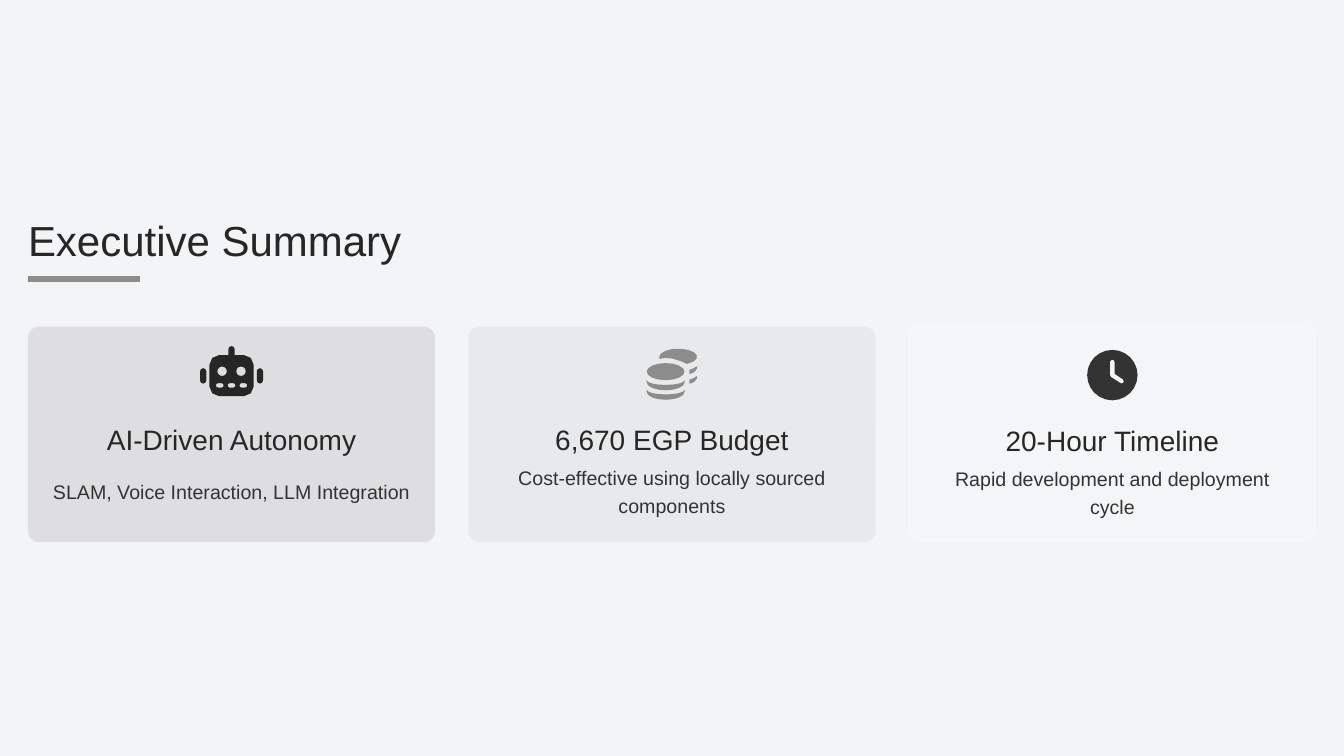
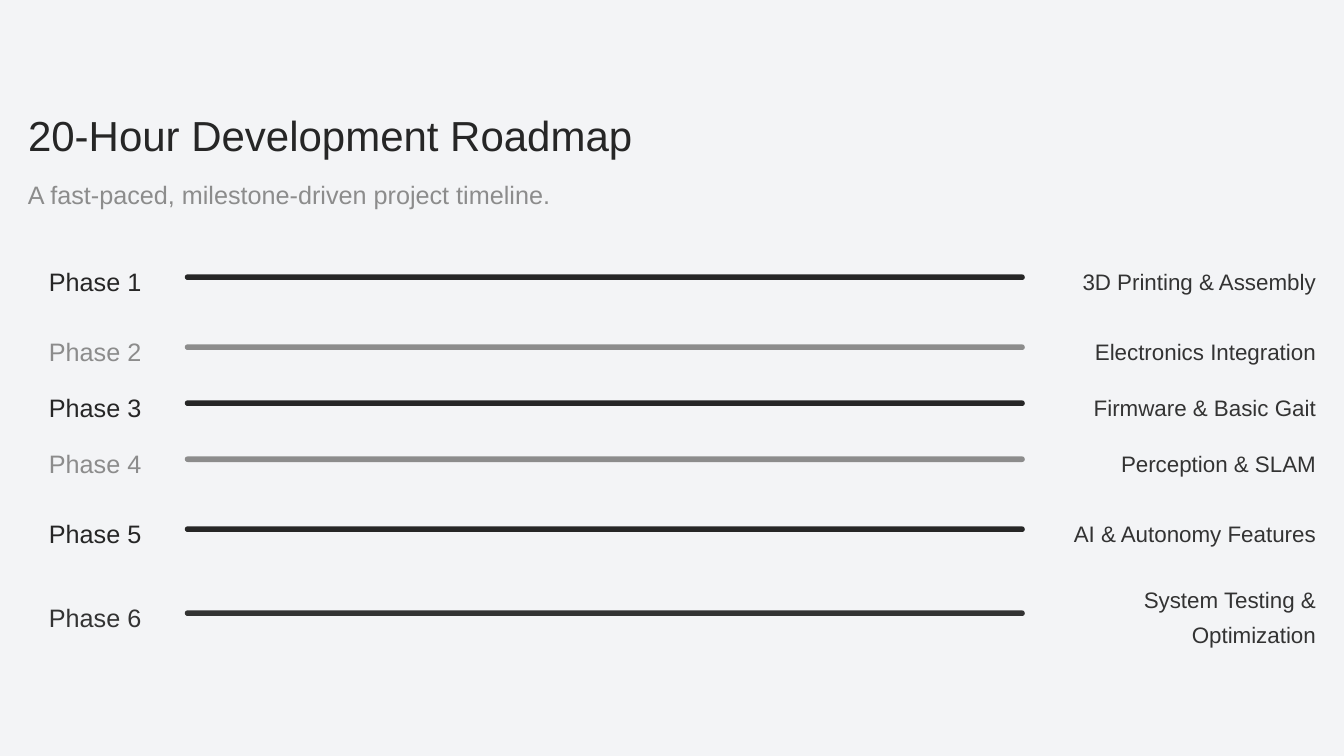
import math

from lxml import etree
from pptx import Presentation
from pptx.dml.color import RGBColor
from pptx.enum import shapes, text
from pptx.oxml.ns import qn
from pptx.util import Pt

FONT = "Arial"
PAPER, INK, BODY, GREY, WHITE = "F3F4F6", "262626", "333333", "8C8C8C", "FFFFFF"
PAGE_WIDTH, PAGE_HEIGHT, MARGIN = 960, 540, 20
CONTENT_WIDTH = PAGE_WIDTH - 2 * MARGIN
LEFT, CENTER, RIGHT = text.PP_ALIGN.LEFT, text.PP_ALIGN.CENTER, text.PP_ALIGN.RIGHT

# Content: heading, body, card colour, border width, icon name, icon colour
CARDS = [
    ("AI-Driven Autonomy", "SLAM, Voice Interaction, LLM Integration", INK, 0, "robot", INK),
    ("6,670 EGP Budget", "Cost-effective using locally sourced components", GREY, 0, "coins", GREY),
    ("20-Hour Timeline", "Rapid development and deployment cycle", WHITE, 0.75, "clock", BODY),
]
# Content: phase, task, colour, row height
PHASES = [
    ("Phase 1", "3D Printing & Assembly", INK, 60),
    ("Phase 2", "Electronics Integration", GREY, 40),
    ("Phase 3", "Firmware & Basic Gait", INK, 40),
    ("Phase 4", "Perception & SLAM", GREY, 40),
    ("Phase 5", "AI & Autonomy Features", INK, 60),
    ("Phase 6", "System Testing & Optimization", BODY, 60),
]


# Outlines, as lists of points around the icon centre
def arc(x, y, rx, ry, start=0, end=360, steps=8):
    angles = [math.radians(start + (end - start) * i / steps) for i in range(steps + 1)]
    return [(x + rx * math.cos(a), y + ry * math.sin(a)) for a in angles]


def rounded(x, y, width, height, radius):
    corners = [(x + width - radius, y + height - radius), (x + radius, y + height - radius),
               (x + radius, y + radius), (x + width - radius, y + radius)]
    return [point for i, (cx, cy) in enumerate(corners)
            for point in arc(cx, cy, radius, radius, 90 * i, 90 * i + 90, 2)]


def robot_head():
    antenna = [(-2.25, -13.5), *arc(0, -17.75, 2.25, 2.25, 180, 360, 4), (2.25, -13.5)]
    head = rounded(-15.75, -13.5, 31.5, 29.2, 6.7)
    top_right = len(head) * 3 // 4
    return head[:top_right] + antenna + head[top_right:]


def coin_edge(y):
    return arc(-4.5, y + 1.6, 13.5, 5.6, 0, 180) + arc(-4.5, y, 13.5, 3.4, 180, 0)


def back_coin_edge(y):
    return [(12.4, y), (12.4, y - 2.9), (15.2, y - 4), (18, y - 5.6), (18, y - 4.2),
            (16.6, y - 2), (14.6, y - 0.7)]


CLOCK_HANDS = [(-1.7, -9.4), (-1, -10.6), (0, -11), (1, -10.6), (1.7, -9.4), (1.7, -0.9),
               (7.5, 3), (8.2, 4.4), (7.7, 5.7), (6.2, 5.9), (-1, 1.4), (-1.7, 0)]
BACK_COIN_TOP = arc(4.5, -12.3, 13.5, 5.8, 180, 422, 10) + [
    (6, -9.3), (0.5, -11), (-4.8, -11.5), (-8.9, -10.8)]
# Each icon is one list of contours; a contour inside another is a hole
ICONS = {
    "robot": [robot_head()]
    + [arc(x, -2, 3.4, 3.4, steps=12) for x in (-6.75, 6.75)]
    + [rounded(x - 2.8, 6.5, 5.6, 3.2, 1.6) for x in (-8.4, 0, 8.4)]
    + [rounded(x - 2.25, -4.2, 4.5, 11, 2.25) for x in (-20.25, 20.25)],
    "coins": [arc(-4.5, -1.7, 13.5, 6.1, steps=16), BACK_COIN_TOP]
    + [coin_edge(y) for y in (4.4, 11.2)] + [back_coin_edge(y) for y in (0, 7)],
    "clock": [arc(0, 0, 18, 18, steps=24), CLOCK_HANDS],
}


# Shared drawing helpers
def rgb(color):
    return RGBColor.from_string(color)


def set_alpha(element, percent):
    for color in element.iter(qn("a:srgbClr")):
        etree.SubElement(color, qn("a:alpha")).set("val", str(percent * 1000))


def paint(shape, color):
    shape.shadow.inherit = False
    shape.fill.solid()
    shape.fill.fore_color.rgb = rgb(color)
    shape.line.fill.background()


def place(shape, x, y, width, height):
    shape.left, shape.top, shape.width, shape.height = Pt(x), Pt(y), Pt(width), Pt(height)


def write(box, words, size, color, align=LEFT, spacing=1.0):
    frame = box.text_frame
    frame.text = words
    frame.word_wrap = True
    frame.auto_size = text.MSO_AUTO_SIZE.NONE
    frame.vertical_anchor = text.MSO_ANCHOR.MIDDLE
    frame.margin_left = frame.margin_right = frame.margin_top = frame.margin_bottom = 0
    para = frame.paragraphs[0]
    para.alignment, para.line_spacing = align, spacing
    font = para.runs[0].font
    font.name, font.size, font.color.rgb = FONT, Pt(size), rgb(color)


def add_text(page, area, *style):
    write(page.shapes.add_textbox(*map(Pt, area)), *style)


def add_block(page, x, y, width, height, color, radius=0):
    kind = shapes.MSO_SHAPE.ROUNDED_RECTANGLE if radius else shapes.MSO_SHAPE.RECTANGLE
    block = page.shapes.add_shape(kind, Pt(x), Pt(y), Pt(width), Pt(height))
    if radius:
        block.adjustments[0] = radius / min(width, height)
    paint(block, color)
    return block


def add_icon(page, contours, x, y, color):
    first, *others = [[(Pt(x + dx), Pt(y + dy)) for dx, dy in contour] for contour in contours]
    builder = page.shapes.build_freeform(*first[0])
    builder.add_line_segments(first[1:], close=True)
    for contour in others:
        builder.move_to(*contour[0])
        builder.add_line_segments(contour[1:], close=True)
    paint(builder.convert_to_shape(), color)


def add_page(deck, title, top):
    page = deck.slides.add_slide(deck.slide_layouts[5])
    place(page.shapes.title, MARGIN, top, CONTENT_WIDTH, 36)
    write(page.shapes.title, title, 30, INK)
    return page


# Slides
def add_summary(deck):
    page = add_page(deck, "Executive Summary", 153.5)
    add_block(page, MARGIN, 197.3, 80, 4, GREY)
    gap, top, height = 23.75, 233.3, 154
    width = (CONTENT_WIDTH - gap * (len(CARDS) - 1)) / len(CARDS)
    for i, (heading, body, color, border, icon, icon_color) in enumerate(CARDS):
        x = MARGIN + i * (width + gap)
        card = add_block(page, x + border / 2, top, width - 2 * border, height - 2 * border,
                         color, 8)
        if border:
            card.line.color.rgb = rgb(color)
            card.line.width = Pt(border)
            set_alpha(card.line._get_or_add_ln(), 50)
        set_alpha(card._element.spPr.find(qn("a:solidFill")), 10)
        add_icon(page, ICONS[icon], x + width / 2, top + 33.9 + border, icon_color)
        add_text(page, (x, top + 64.2 + border, width, 28), heading, 20, INK, CENTER, 1.2)
        add_text(page, (x + 16, top + 96 + border, width - 32, 40), body, 14, BODY, CENTER, 1.2)


def add_roadmap(deck):
    page = add_page(deck, "20-Hour Development Roadmap", 78)
    add_text(page, (MARGIN, 121.5, CONTENT_WIDTH, 28),
             "A fast-paced, milestone-driven project timeline.", 18, GREY, LEFT, 1.3)
    top = 168
    for phase, task, color, height in PHASES:
        middle = top + height / 2
        add_text(page, (0, middle - 14, 136, 28), phase, 18, color, CENTER, 1.3)
        add_block(page, 132, middle - 2, 600, 4, color, 2)
        add_text(page, (748, middle - 24, 192, 48), task, 16, BODY, RIGHT, 1.3)
        top += height


def main():
    deck = Presentation()
    deck.slide_width, deck.slide_height = Pt(PAGE_WIDTH), Pt(PAGE_HEIGHT)
    backdrop = deck.slide_master.background.fill
    backdrop.solid()
    backdrop.fore_color.rgb = rgb(PAPER)
    add_summary(deck)
    add_roadmap(deck)
    deck.save("out.pptx")


if __name__ == "__main__":
    main()
